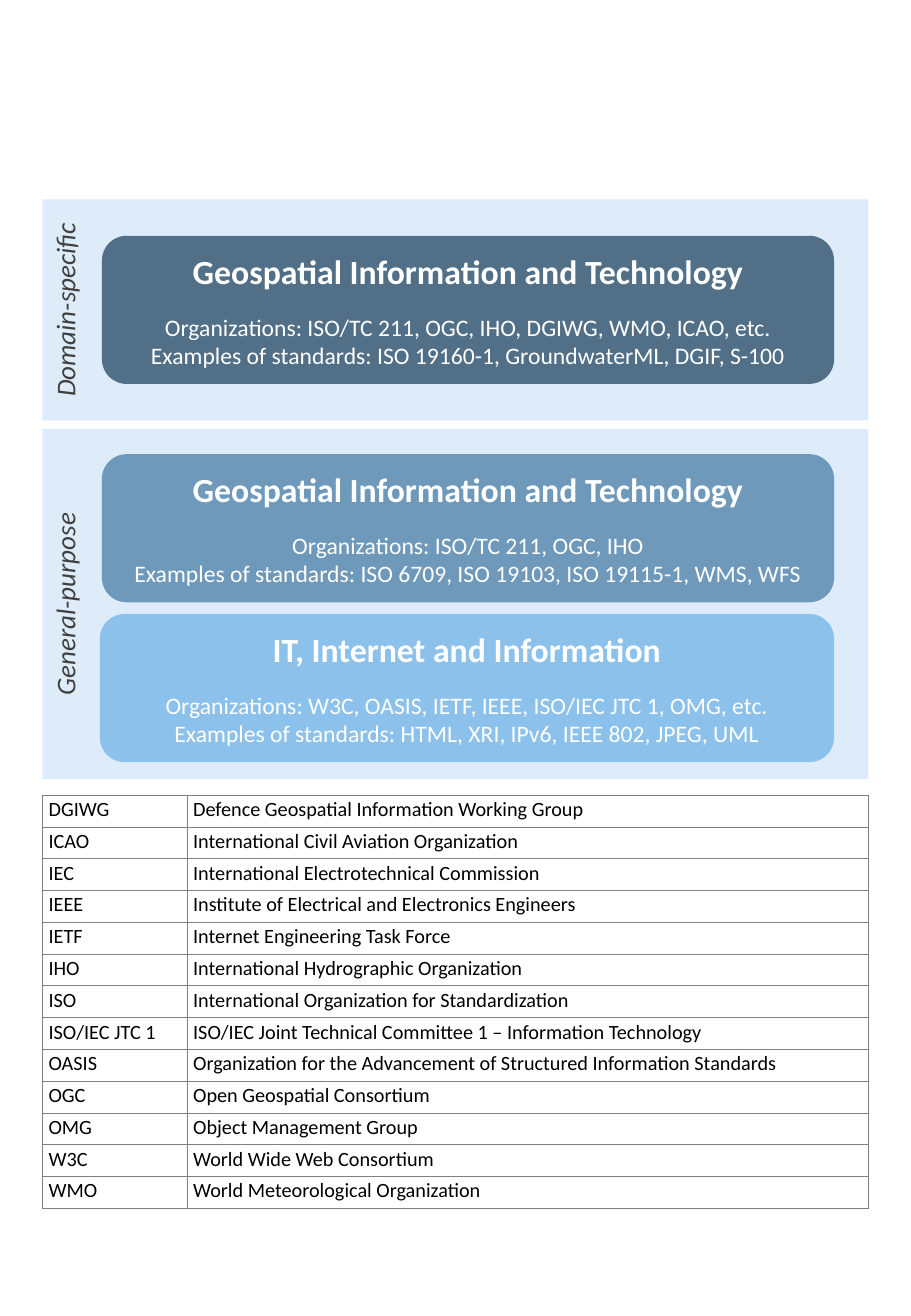
"""Build a slide of geospatial standards layers with a table of organization names."""
from lxml import etree
from pptx import Presentation
from pptx.dml.color import RGBColor
from pptx.enum.shapes import MSO_SHAPE
from pptx.enum.text import MSO_ANCHOR, PP_ALIGN
from pptx.oxml.ns import qn
from pptx.util import Pt

RECTANGLE, ROUNDED = MSO_SHAPE.RECTANGLE, MSO_SHAPE.ROUNDED_RECTANGLE
MIDDLE, TOP = MSO_ANCHOR.MIDDLE, MSO_ANCHOR.TOP
CENTER, LEFT_ALIGN = PP_ALIGN.CENTER, PP_ALIGN.LEFT

FONT = "Calibri"
COLORS = {
    "panel": "DEEBF8", "label": "404040", "domain": "517088", "general": "6E99BA",
    "internet": "8BC1EA", "white": "FFFFFF", "black": "000000", "border": "808080",
}
PANELS = [("Domain-specific", 118.1, 131), ("General-purpose", 254.2, 207.4)]
CARDS = [
    ("internet", 59.2, 363.8, "IT, Internet and Information",
     "Organizations: W3C, OASIS, IETF, IEEE, ISO/IEC JTC 1, OMG, etc.",
     "Examples of standards: HTML, XRI, IPv6, IEEE 802, JPEG, UML"),
    ("general", 60.4, 269.1, "Geospatial Information and Technology",
     "Organizations: ISO/TC 211, OGC, IHO",
     "Examples of standards: ISO 6709, ISO 19103, ISO 19115-1, WMS, WFS"),
    ("domain", 60.4, 139.7, "Geospatial Information and Technology",
     "Organizations: ISO/TC 211, OGC, IHO, DGIWG, WMO, ICAO, etc.",
     "Examples of standards: ISO 19160-1, GroundwaterML, DGIF, S-100"),
]
ORGANIZATIONS = [
    ("DGIWG", "Defence Geospatial Information Working Group"),
    ("ICAO", "International Civil Aviation Organization"),
    ("IEC", "International Electrotechnical Commission"),
    ("IEEE", "Institute of Electrical and Electronics Engineers"),
    ("IETF", "Internet Engineering Task Force"),
    ("IHO", "International Hydrographic Organization"),
    ("ISO", "International Organization for Standardization"),
    ("ISO/IEC JTC 1", "ISO/IEC Joint Technical Committee 1 – Information Technology"),
    ("OASIS", "Organization for the Advancement of Structured Information Standards"),
    ("OGC", "Open Geospatial Consortium"),
    ("OMG", "Object Management Group"),
    ("W3C", "World Wide Web Consortium"),
    ("WMO", "World Meteorological Organization"),
]
MARGIN, CONTENT_WIDTH = 25.2, 489.6
CARD_RIGHT, CARD_HEIGHT = 494.4, 87.8
TABLE_TOP, ROW_HEIGHT, ACRONYM_WIDTH = 471.1, 18.83, 85.7


def add_run(paragraph, text, size, color, align=CENTER, bold=False, italic=False):
    paragraph.alignment = align
    run = paragraph.add_run()
    run.text = text
    font = run.font
    font.name, font.size, font.bold, font.italic = FONT, Pt(size), bold, italic
    font.color.rgb = RGBColor.from_string(COLORS[color])


def add_box(slide, kind, left, top, width, height, color, anchor):
    shape = slide.shapes.add_shape(kind, Pt(left), Pt(top), Pt(width), Pt(height))
    shape.shadow.inherit = False
    shape.fill.solid()
    shape.fill.fore_color.rgb = RGBColor.from_string(COLORS[color])
    shape.line.fill.background()
    shape.text_frame.word_wrap = True
    shape.text_frame.vertical_anchor = anchor
    return shape


def add_panel(slide, label, top, height):
    shape = add_box(slide, RECTANGLE, MARGIN, top, CONTENT_WIDTH, height, "panel", TOP)
    frame = shape.text_frame
    frame._txBody.bodyPr.set("vert", "vert270")
    add_run(frame.paragraphs[0], label, 16, "label", italic=True)


def add_card(slide, color, left, top, title, organizations, examples):
    shape = add_box(slide, ROUNDED, left, top, CARD_RIGHT - left, CARD_HEIGHT, color, MIDDLE)
    frame = shape.text_frame
    add_run(frame.paragraphs[0], title, 20, "white", bold=True)
    for line in (organizations, examples):
        add_run(frame.add_paragraph(), line, 14, "white")
    frame.paragraphs[1].space_before = Pt(12.8)


def style_cell(cell):
    cell.margin_left = cell.margin_right = Pt(3.6)
    cell.margin_top = cell.margin_bottom = Pt(1.44)
    cell.vertical_anchor = TOP
    cell.fill.background()
    properties = cell._tc.get_or_add_tcPr()
    for position, side in enumerate(("lnL", "lnR", "lnT", "lnB")):
        line = etree.Element(qn("a:" + side), w=str(Pt(0.25)))
        fill = etree.SubElement(line, qn("a:solidFill"))
        etree.SubElement(fill, qn("a:srgbClr"), val=COLORS["border"])
        properties.insert(position, line)


def add_organization_table(slide):
    count = len(ORGANIZATIONS)
    table = slide.shapes.add_table(count, 2, Pt(MARGIN), Pt(TABLE_TOP), Pt(CONTENT_WIDTH),
                                   Pt(count * ROW_HEIGHT)).table
    table.first_row = table.horz_banding = False
    table.columns[0].width = Pt(ACRONYM_WIDTH)
    table.columns[1].width = Pt(CONTENT_WIDTH - ACRONYM_WIDTH)
    for row, texts in zip(table.rows, ORGANIZATIONS):
        row.height = Pt(ROW_HEIGHT)
        for cell, text in zip(row.cells, texts):
            style_cell(cell)
            add_run(cell.text_frame.paragraphs[0], text, 12, "black", LEFT_ALIGN)


presentation = Presentation()
presentation.slide_width, presentation.slide_height = Pt(540), Pt(779.76)
slide = presentation.slides.add_slide(presentation.slide_layouts[6])
for panel in PANELS:
    add_panel(slide, *panel)
for card in CARDS:
    add_card(slide, *card)
add_organization_table(slide)
presentation.save("out.pptx")
